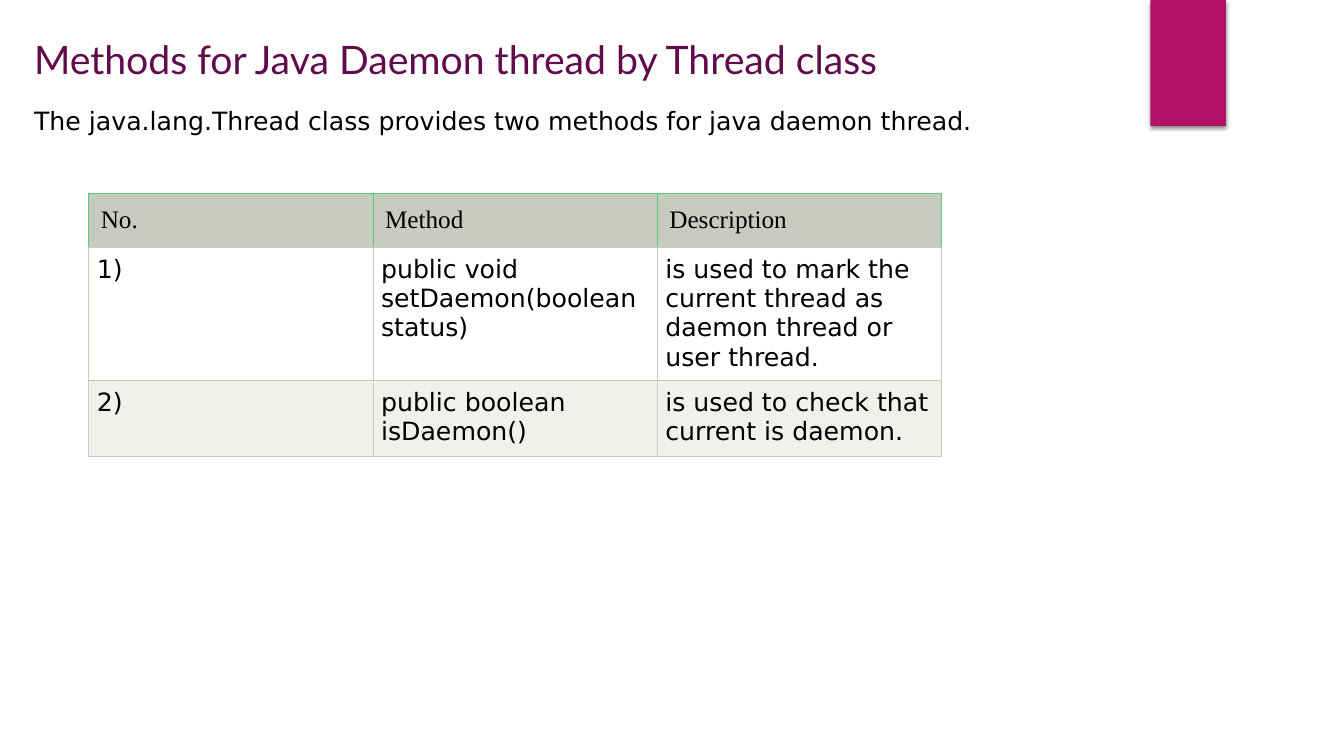
"""Build a slide listing the Thread class methods for Java daemon threads."""
from lxml import etree
from pptx import Presentation
from pptx.dml.color import RGBColor
from pptx.enum.shapes import MSO_SHAPE
from pptx.enum.text import MSO_ANCHOR
from pptx.oxml.ns import qn
from pptx.util import Inches, Pt

RECTANGLE = MSO_SHAPE.RECTANGLE
MIDDLE = MSO_ANCHOR.MIDDLE

HEADING = "Methods for Java Daemon thread by Thread class"
INTRO = "The java.lang.Thread class provides two methods for java daemon thread."
METHODS = [
    ("No.", "Method", "Description"),
    ("1)", "public void setDaemon(boolean status)",
     "is used to mark the current thread as daemon thread or user thread."),
    ("2)", "public boolean isDaemon()", "is used to check that current is daemon."),
]
ROW_HEIGHTS = (0.53, 1.32, 0.76)
COLUMN_WIDTH = 2.82

THEME = {
    "accent": "B31166", "heading": "610B4B", "text": "000000", "paper": "FFFFFF",
    "header": "C7CCBE", "band": "EFF1EB", "grid": "C7CCBE", "header_edge": "58C985",
    "heading_font": "Lato", "body_font": "DejaVu Sans", "header_font": "Times New Roman",
    "heading_size": 28, "body_size": 18, "border": 0.75,
}


def rgb(role):
    return RGBColor.from_string(THEME[role])


def style_text(paragraph, font_role, size_role, color_role):
    for run in paragraph.runs:
        run.font.name = THEME[font_role]
        run.font.size = Pt(THEME[size_role])
        run.font.color.rgb = rgb(color_role)


def add_color(parent, role):
    fill = etree.SubElement(parent, qn("a:solidFill"))
    return etree.SubElement(fill, qn("a:srgbClr"), val=THEME[role])


def add_block(slide, left, top, width, height, fill_role):
    block = slide.shapes.add_shape(
        RECTANGLE, Inches(left), Inches(top), Inches(width), Inches(height))
    block.shadow.inherit = False
    block.fill.solid()
    block.fill.fore_color.rgb = rgb(fill_role)
    block.line.fill.background()
    return block


def add_ribbon(slide):
    ribbon = add_block(slide, 11.41, 0, 0.75, 1.25, "accent")
    effects = ribbon._element.spPr.find(qn("a:effectLst"))
    shadow = etree.SubElement(
        effects, qn("a:outerShdw"), blurRad=str(Pt(3)), dist=str(Pt(2)),
        dir="5400000", rotWithShape="0")
    color = etree.SubElement(shadow, qn("a:srgbClr"), val=THEME["text"])
    etree.SubElement(color, qn("a:alpha"), val="45000")


def add_heading(slide):
    frame = add_block(slide, 0.24, 0.29, 10.84, 1.11, "paper").text_frame
    frame.word_wrap = True
    frame.vertical_anchor = MIDDLE
    frame.text = HEADING
    intro = frame.add_paragraph()
    intro.text = INTRO
    intro.space_before = Pt(16.3)
    style_text(frame.paragraphs[0], "heading_font", "heading_size", "heading")
    style_text(intro, "body_font", "body_size", "text")
    for paragraph in frame.paragraphs:
        paragraph.alignment = 1


def set_borders(cell, edge_role):
    properties = cell._tc.get_or_add_tcPr()
    edges = {"lnL": edge_role, "lnR": edge_role, "lnT": edge_role, "lnB": "grid"}
    for position, (edge, role) in enumerate(edges.items()):
        line = etree.Element(qn(f"a:{edge}"), w=str(Pt(THEME["border"])))
        add_color(line, role)
        properties.insert(position, line)


def add_methods(slide):
    columns = len(METHODS[0])
    table = slide.shapes.add_table(
        len(METHODS), columns, Inches(0.88), Inches(1.92),
        Inches(columns * COLUMN_WIDTH), Inches(sum(ROW_HEIGHTS))).table
    table.first_row = table.horz_banding = False
    for column in table.columns:
        column.width = Inches(COLUMN_WIDTH)
    row_styles = [
        ("header", "header_font", "header_edge", 0.12),
        ("paper", "body_font", "grid", 0.08),
        ("band", "body_font", "grid", 0.08),
    ]
    for row, height, texts, (fill, font, edge, inset) in zip(
            table.rows, ROW_HEIGHTS, METHODS, row_styles):
        row.height = Inches(height)
        for cell, text in zip(row.cells, texts):
            cell.text = text
            cell.margin_left = cell.margin_right = Inches(inset)
            cell.margin_top = cell.margin_bottom = Inches(inset)
            cell.fill.solid()
            cell.fill.fore_color.rgb = rgb(fill)
            set_borders(cell, edge)
            style_text(cell.text_frame.paragraphs[0], font, "body_size", "text")


def main():
    deck = Presentation()
    deck.slide_width, deck.slide_height = Inches(13.33), Inches(7.5)
    slide = deck.slides.add_slide(deck.slide_layouts[6])
    add_ribbon(slide)
    add_methods(slide)
    add_heading(slide)
    deck.save("out.pptx")


if __name__ == "__main__":
    main()
